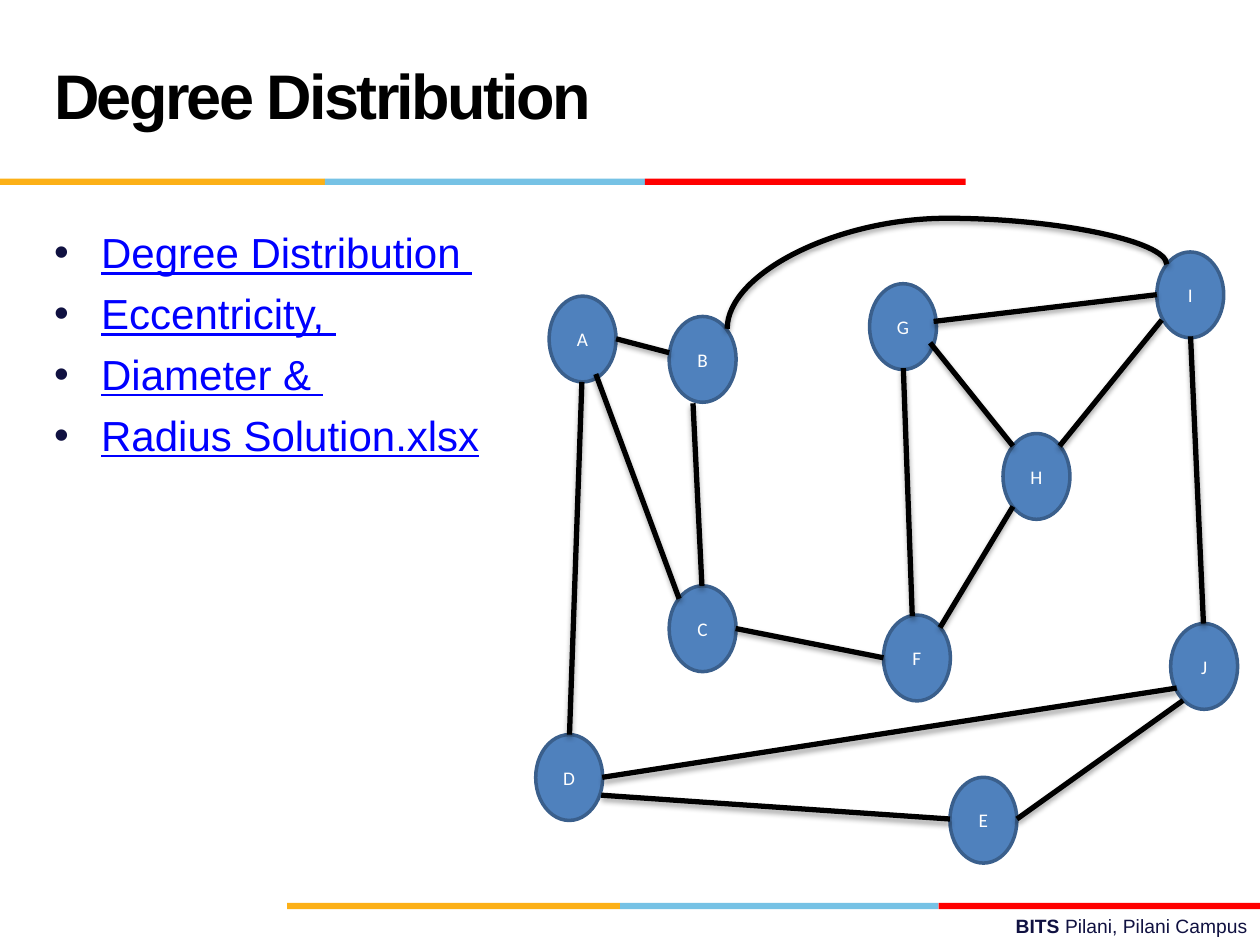
import lxml.etree
import pptx
import pptx.dml.color
import pptx.enum.shapes
import pptx.enum.text
import pptx.oxml.ns
import pptx.util

Cm = pptx.util.Cm
Pt = pptx.util.Pt
qn = pptx.oxml.ns.qn
NAVY, BLACK = "101141", "000000"
STRIPES = ("FCB017", "76C2E5", "FF0000")
NODE_WIDTH, NODE_HEIGHT = 1.35, 1.73
NODES = {
    "A": (11.07, 5.97), "B": (13.49, 6.38), "C": (13.49, 11.81), "F": (17.81, 12.4),
    "D": (10.8, 14.81), "H": (20.22, 8.74), "E": (19.15, 15.67), "G": (17.53, 5.72),
    "J": (23.6, 12.57), "I": (23.32, 5.08),
}
EDGES = {
    "AB": (12.42, 6.83, 13.49, 7.11), "CF": (14.83, 12.67, 17.81, 13.26),
    "AC": (12.01, 7.54, 13.69, 12.07), "AD": (11.73, 7.7, 11.48, 14.81),
    "BC": (13.97, 8.13, 14.15, 11.81), "ED": (19.15, 16.51, 12.12, 16.03),
    "GF": (18.21, 7.42, 18.39, 12.42), "IJ": (24, 6.78, 24.26, 12.57),
    "GH": (18.75, 6.91, 20.42, 8.99), "GI": (18.82, 6.48, 23.32, 5.94),
    "IH": (23.42, 6.45, 21.36, 8.99), "DJ": (12.14, 15.67, 23.72, 13.87),
    "HF": (20.42, 10.21, 18.95, 12.65), "JE": (23.85, 14.12, 20.5, 16.51),
}
TOPICS = ("Degree Distribution ", "Eccentricity, ", "Diameter & ", "Radius Solution.xlsx")


def rgb(color):
    """Return the colour for a hex string."""
    return pptx.dml.color.RGBColor.from_string(color)


def style(run, size, color, name="Arial", bold=False, underline=False):
    """Format one run."""
    run.font.name, run.font.size = name, Pt(size)
    run.font.bold, run.font.underline = bold, underline
    run.font.color.rgb = rgb(color)


def add_text_frame(slide, left, top, width, height):
    """Add a wrapping text box and return its frame."""
    frame = slide.shapes.add_textbox(Cm(left), Cm(top), Cm(width), Cm(height)).text_frame
    frame.word_wrap = True
    return frame


def add_title(slide, wording):
    """Add the tightly spaced slide heading."""
    frame = add_text_frame(slide, 0.84, 0.43, 17.58, 3.18)
    frame.vertical_anchor = pptx.enum.text.MSO_ANCHOR.MIDDLE
    frame.text = wording
    heading = frame.paragraphs[0]
    heading.line_spacing = Pt(36)
    style(heading.runs[0], 36, BLACK, bold=True)
    heading.runs[0].font._element.set("spc", "-150")


def add_bullet(paragraph, color):
    """Give a paragraph a hanging round bullet."""
    properties = paragraph._p.get_or_add_pPr()
    properties.set("marL", str(Cm(0.95)))
    properties.set("indent", str(Cm(-0.95)))
    bullet_color = lxml.etree.SubElement(properties, qn("a:buClr"))
    lxml.etree.SubElement(bullet_color, qn("a:srgbClr"), val=color)
    lxml.etree.SubElement(properties, qn("a:buFont"), typeface="Arial")
    lxml.etree.SubElement(properties, qn("a:buChar"), char="•")


def add_topics(slide, topics):
    """Add the underlined bullet list."""
    frame = add_text_frame(slide, 0.84, 4.45, 22.86, 12.57)
    frame.text = "\n".join(topics)
    for index, topic in enumerate(frame.paragraphs):
        add_bullet(topic, NAVY)
        if index:
            topic.space_before = Pt(6)
        style(topic.runs[0], 24, "0000FF", underline=True)


def add_footer(slide):
    """Add the campus line at the bottom right."""
    frame = add_text_frame(slide, 9.09, 18.31, 16.31, 0.74)
    campus = frame.paragraphs[0]
    campus.alignment = pptx.enum.text.PP_ALIGN.RIGHT
    for wording, bold in (("BITS ", True), ("Pilani, Pilani Campus", False)):
        run = campus.add_run()
        run.text = wording
        style(run, 11, NAVY, bold=bold)


def add_stripes(slide, top, bounds):
    """Add a three-coloured rule between successive bounds."""
    for color, left, right in zip(STRIPES, bounds, bounds[1:]):
        stripe = slide.shapes.add_shape(
            pptx.enum.shapes.MSO_SHAPE.RECTANGLE, Cm(left), Cm(top), Cm(right - left), Cm(0.13))
        stripe.shadow.inherit = False
        stripe.fill.solid()
        stripe.fill.fore_color.rgb = rgb(color)
        stripe.line.fill.background()


def add_node(slide, letter, left, top):
    """Add one lettered graph node."""
    node = slide.shapes.add_shape(
        pptx.enum.shapes.MSO_SHAPE.OVAL, Cm(left), Cm(top), Cm(NODE_WIDTH), Cm(NODE_HEIGHT))
    node.shadow.inherit = False
    node.fill.solid()
    node.fill.fore_color.rgb = rgb("4F81BD")
    node.line.color.rgb = rgb("3A5F8C")
    node.line.width = Pt(2)
    frame = node.text_frame
    frame.margin_left = frame.margin_right = 0
    frame.vertical_anchor = pptx.enum.text.MSO_ANCHOR.MIDDLE
    frame.text = letter
    frame.paragraphs[0].alignment = pptx.enum.text.PP_ALIGN.CENTER
    style(frame.paragraphs[0].runs[0], 11, "FFFFFF", name="Calibri")


def add_edge(slide, ends, kind=pptx.enum.shapes.MSO_CONNECTOR.STRAIGHT):
    """Add one graph edge with a soft shadow below it."""
    edge = slide.shapes.add_connector(kind, *(Cm(value) for value in ends))
    edge.line.color.rgb = rgb(BLACK)
    edge.line.width = Pt(3)
    effects = lxml.etree.SubElement(edge._element.spPr, qn("a:effectLst"))
    shadow = lxml.etree.SubElement(
        effects, qn("a:outerShdw"), blurRad=str(Pt(3.1)), dist=str(Pt(1.8)),
        dir="5400000", rotWithShape="0")
    shade = lxml.etree.SubElement(shadow, qn("a:srgbClr"), val=BLACK)
    lxml.etree.SubElement(shade, qn("a:alpha"), val="35000")
    return edge


def add_arched_edge(slide, ends, bend):
    """Add a curved edge turned a quarter so that it arches upwards."""
    arch = add_edge(slide, ends, pptx.enum.shapes.MSO_CONNECTOR.CURVE)
    properties = arch._element.spPr
    properties.find(qn("a:xfrm")).set("rot", "5400000")
    adjustments = properties.find(qn("a:prstGeom")).find(qn("a:avLst"))
    lxml.etree.SubElement(adjustments, qn("a:gd"), name="adj1", fmla=f"val {bend}")


def main():
    """Build and save the slide."""
    deck = pptx.Presentation()
    deck.slide_width, deck.slide_height = Cm(25.4), Cm(19.05)
    slide = deck.slides.add_slide(deck.slide_layouts[6])
    add_footer(slide)
    add_stripes(slide, 18.2, (5.79, 12.5, 18.92, 25.4))
    add_stripes(slide, 3.6, (0, 6.55, 13, 19.47))
    add_topics(slide, TOPICS)
    add_title(slide, "Degree Distribution")
    for letter, position in NODES.items():
        add_node(slide, letter, *position)
    for ends in EDGES.values():
        add_edge(slide, ends)
    add_arched_edge(slide, (19.74, 10.41, 18.44, 1.55), 171400)
    deck.save("out.pptx")


if __name__ == "__main__":
    main()
